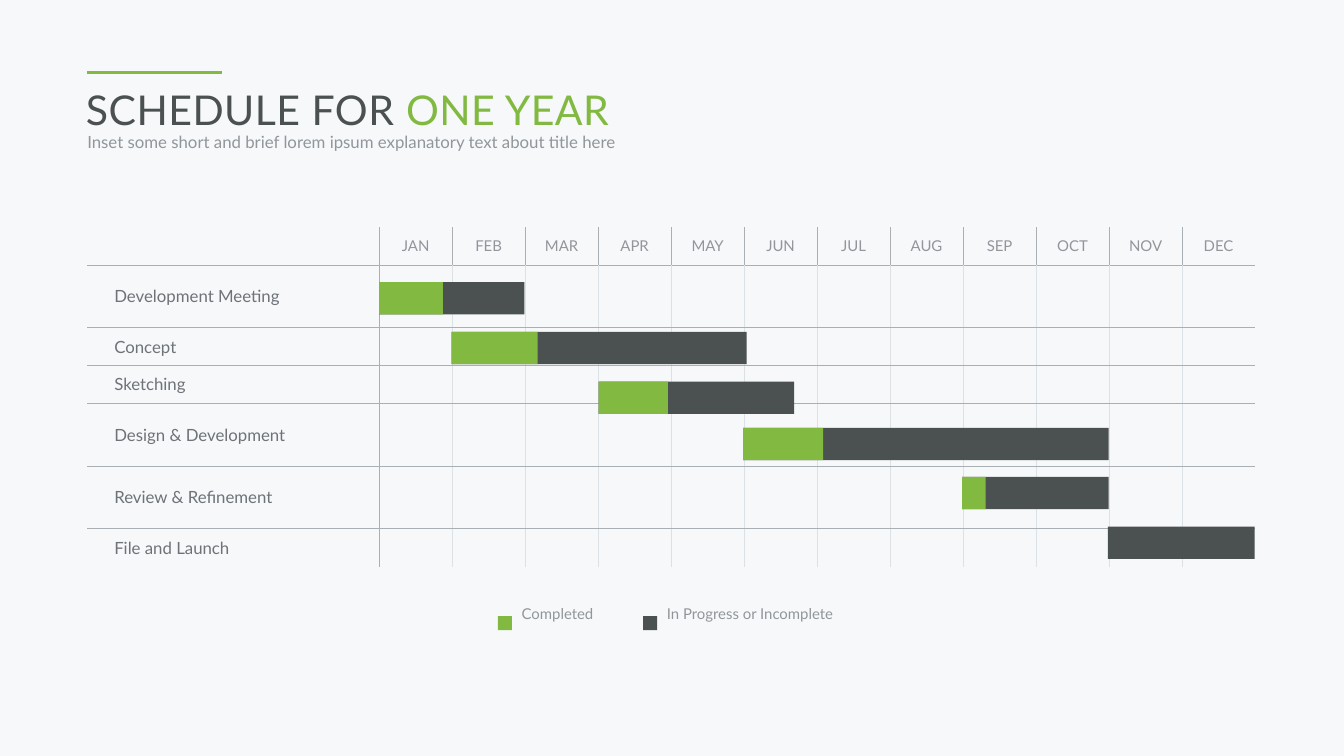
from typing import NamedTuple

from lxml import etree
from pptx import Presentation
from pptx.dml.color import RGBColor
from pptx.enum.shapes import MSO_CONNECTOR, MSO_SHAPE
from pptx.enum.text import MSO_ANCHOR, MSO_AUTO_SIZE, PP_ALIGN
from pptx.oxml.ns import qn
from pptx.util import Cm, Pt

RECT = MSO_SHAPE.RECTANGLE
LINE = MSO_CONNECTOR.STRAIGHT
TOP, MIDDLE = MSO_ANCHOR.TOP, MSO_ANCHOR.MIDDLE
LEFT, CENTER, JUSTIFY = PP_ALIGN.LEFT, PP_ALIGN.CENTER, PP_ALIGN.JUSTIFY
NO_FIT = MSO_AUTO_SIZE.NONE

FONT = "Lato"
GREEN, DARK, GRAY, LABEL = "82B941", "4B5050", "91969B", "6E7378"
RULE, GRID, PAPER = "AAAFB4", "DCE1E6", "F6F8FA"
EDGE = 3.3
MONTHS = "JAN FEB MAR APR MAY JUN JUL AUG SEP OCT NOV DEC".split()
SHORT, TALL = 1.43, 2.37


class Task(NamedTuple):
    name: str
    row: float
    left: float
    top: float
    width: float
    done: float


class Key(NamedTuple):
    text: str
    color: str
    left: float
    width: float


TASKS = [
    Task("Development Meeting", TALL, 14.33, 10.67, 5.49, 2.41),
    Task("Concept", SHORT, 17.07, 12.55, 11.15, 3.25),
    Task("Sketching", SHORT, 22.63, 14.43, 7.39, 2.62),
    Task("Design & Development", TALL, 28.09, 16.18, 13.82, 3.02),
    Task("Review & Refinement", TALL, 36.37, 18.03, 5.54, 0.89),
    Task("File and Launch", SHORT, 41.88, 19.91, 5.54, 0),
]
KEYS = [
    Key("Completed", GREEN, 18.82, 3.2),
    Key("In Progress or Incomplete", DARK, 24.31, 6.76),
]


def paint(color: str) -> RGBColor:
    return RGBColor.from_string(color)


def write(frame, text, *, size, color, align=LEFT, pitch=None, after=0, track=None):
    line = frame.paragraphs[0]
    line.alignment = align
    line.space_before, line.space_after = Pt(0), Pt(after)
    if pitch:
        line.line_spacing = Pt(pitch)
    run = line.add_run()
    run.text = text
    run.font.name, run.font.size = FONT, Pt(size)
    run.font.color.rgb = paint(color)
    if track:
        run.font._element.set("spc", str(int(track * 100)))


def frame_of(shape):
    frame = shape.text_frame
    frame.margin_left = frame.margin_right = 0
    frame.margin_top = frame.margin_bottom = 0
    frame.word_wrap = True
    frame.auto_size = NO_FIT
    frame.vertical_anchor = TOP
    return frame


def add_text(slide, left: float, top: float, width: float, height: float):
    return frame_of(slide.shapes.add_textbox(Cm(left), Cm(top), Cm(width), Cm(height)))


def add_rect(slide, left: float, top: float, width: float, height: float, color: str):
    rect = slide.shapes.add_shape(RECT, Cm(left), Cm(top), Cm(width), Cm(height))
    rect.shadow.inherit = False
    rect.fill.solid()
    rect.fill.fore_color.rgb = paint(color)
    rect.line.fill.background()


def add_head(slide):
    rule = slide.shapes.add_connector(LINE, Cm(EDGE), Cm(2.74), Cm(8.38), Cm(2.74))
    rule.line.width = Pt(2.25)
    rule.line.color.rgb = paint(GREEN)
    etree.SubElement(rule._element.spPr, qn("a:effectLst"))

    title = slide.shapes.title
    title.left, title.top = Cm(3.25), Cm(3.2)
    title.width, title.height = Cm(44.2), Cm(2.13)
    frame = frame_of(title)
    write(frame, "SCHEDULE FOR ", size=44, color=DARK, track=0.5)
    write(frame, "ONE YEAR", size=44, color=GREEN, track=0.5)

    frame = add_text(slide, EDGE, 5.33, 44.2, 0.79)
    write(frame, "Inset some short and brief lorem ipsum explanatory text about title here",
          size=18, color=GRAY, pitch=12)


def set_edge(cell, side: str, color: str | None):
    line = etree.SubElement(cell._tc.get_or_add_tcPr(), qn(f"a:ln{side}"))
    line.set("w", str(Pt(0.75)))
    if color:
        fill = etree.SubElement(line, qn("a:solidFill"))
        etree.SubElement(fill, qn("a:srgbClr")).set("val", color)
    else:
        etree.SubElement(line, qn("a:noFill"))


def add_grid(slide):
    rows = [SHORT] + [task.row for task in TASKS]
    cols = [11.03] + [2.76] * len(MONTHS)
    table = slide.shapes.add_table(
        len(rows), len(cols), Cm(EDGE), Cm(8.59), Cm(sum(cols)), Cm(sum(rows))).table
    table.first_row = table.horz_banding = False
    for row, height in zip(table.rows, rows):
        row.height = Cm(height)
    for col, width in zip(table.columns, cols):
        col.width = Cm(width)

    last_row, last_col = len(rows) - 1, len(cols) - 1
    for r in range(len(rows)):
        for c in range(len(cols)):
            cell = table.cell(r, c)
            cell.margin_left = Cm(1.02) if c == 0 else 0
            cell.margin_right = cell.margin_top = cell.margin_bottom = 0
            cell.vertical_anchor = MIDDLE
            set_edge(cell, "L", None if c == 0 else RULE if r == 0 or c == 1 else GRID)
            set_edge(cell, "R", None if c == last_col else RULE if r == 0 or c == 0 else GRID)
            set_edge(cell, "T", RULE if r else None)
            set_edge(cell, "B", RULE if r < last_row else None)
            cell.fill.background()

    for c, month in enumerate(MONTHS, 1):
        write(table.cell(0, c).text_frame, month, size=16, color=GRAY, align=CENTER)
    for r, task in enumerate(TASKS, 1):
        write(table.cell(r, 0).text_frame, task.name, size=18, color=LABEL)


def add_bar(slide, task: Task):
    add_rect(slide, task.left, task.top, task.width, 1.22, DARK)
    if task.done:
        add_rect(slide, task.left, task.top, task.done, 1.22, GREEN)


def add_key(slide, key: Key):
    add_rect(slide, key.left, 23.29, 0.53, 0.53, key.color)
    frame = add_text(slide, key.left + 0.9, 23.09, key.width, 0.46)
    write(frame, key.text, size=16, color=GRAY, align=JUSTIFY, pitch=13, after=6)


def main():
    deck = Presentation()
    deck.slide_width, deck.slide_height = Cm(50.8), Cm(28.58)
    slide = deck.slides.add_slide(deck.slide_layouts[5])
    slide.background.fill.solid()
    slide.background.fill.fore_color.rgb = paint(PAPER)
    add_head(slide)
    add_grid(slide)
    for task in TASKS:
        add_bar(slide, task)
    for key in KEYS:
        add_key(slide, key)
    deck.save("out.pptx")


if __name__ == "__main__":
    main()
